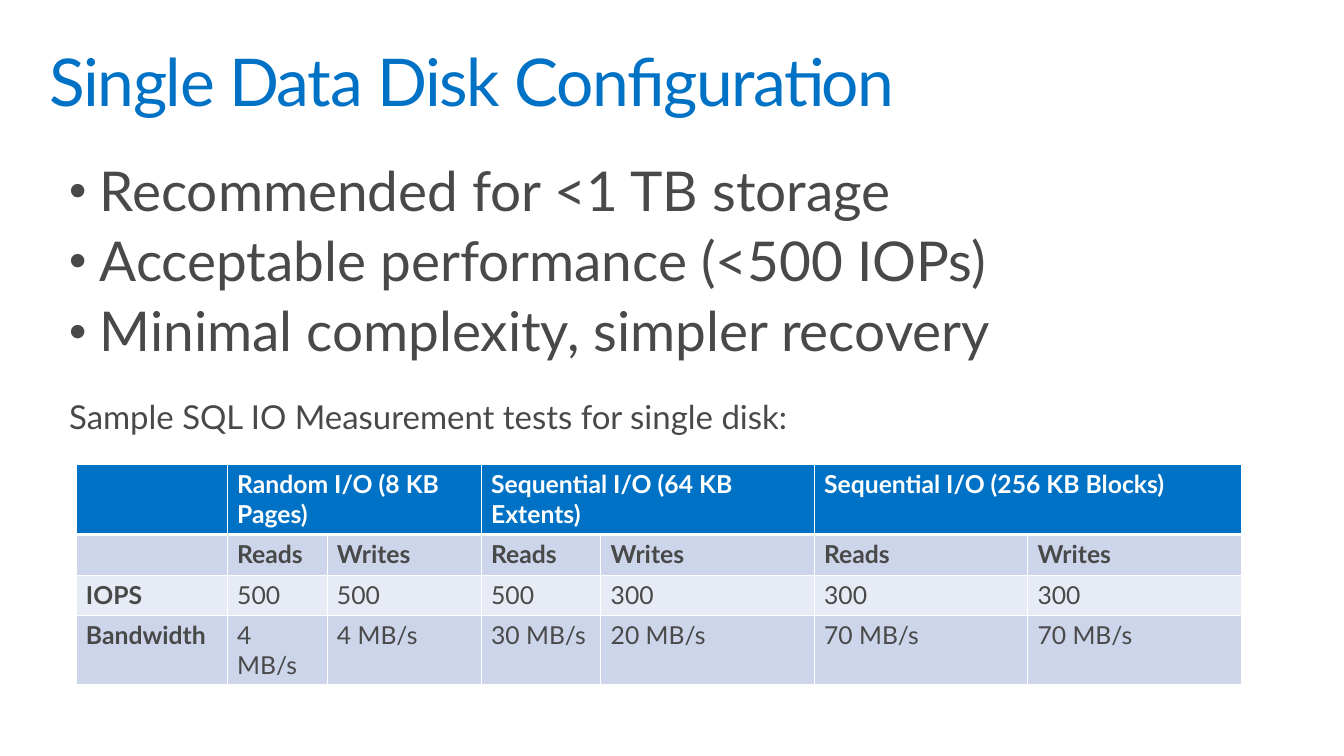
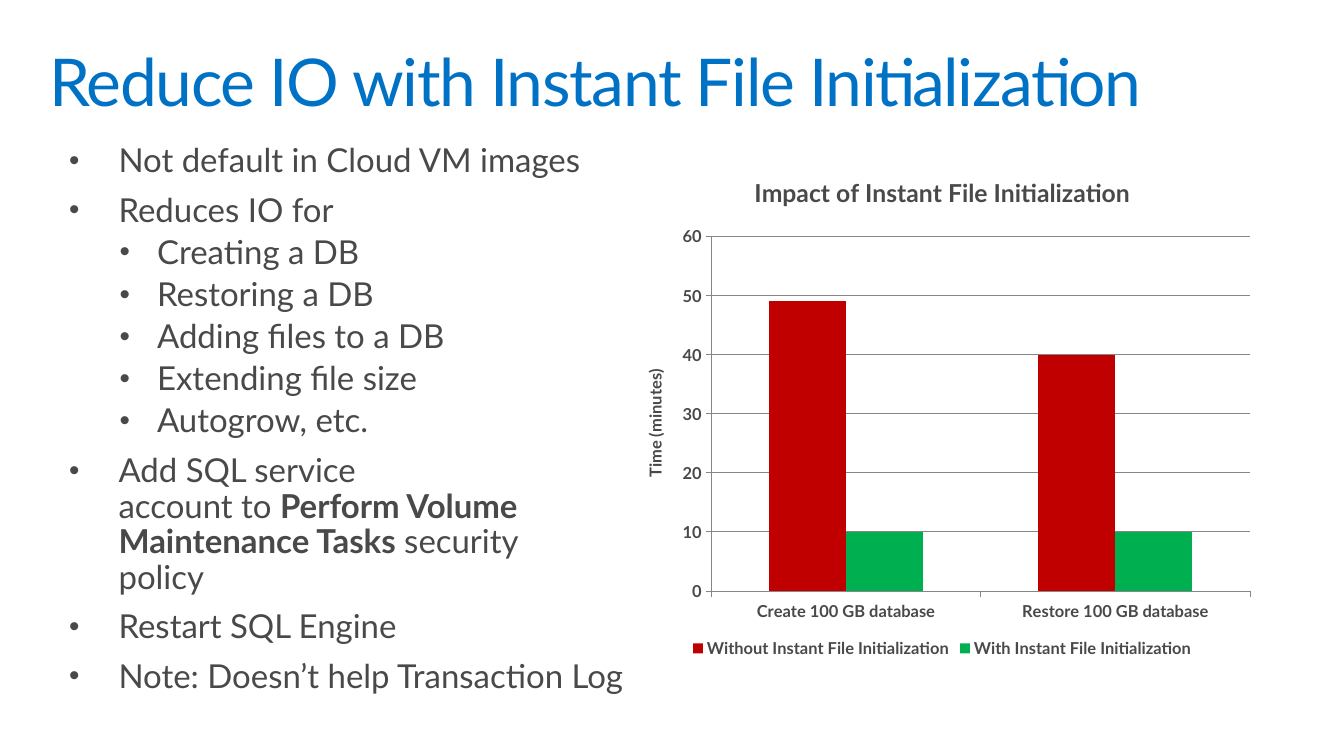
from lxml import etree
from pptx import Presentation
from pptx.chart.data import CategoryChartData
from pptx.dml.color import RGBColor
from pptx.enum.chart import XL_CHART_TYPE, XL_LEGEND_POSITION, XL_TICK_MARK
from pptx.enum.text import MSO_ANCHOR
from pptx.oxml import parse_xml
from pptx.oxml.ns import nsdecls, qn
from pptx.util import Pt

COLUMNS = XL_CHART_TYPE.COLUMN_CLUSTERED
BOTTOM = XL_LEGEND_POSITION.BOTTOM
OUTSIDE = XL_TICK_MARK.OUTSIDE
TOP = MSO_ANCHOR.TOP

PX = 9144  # 100 px to the inch
FONT = "Lato"
BLUE, GREY, WHITE, LINE = "0072C6", "494949", "FFFFFF", "868686"
BANDS = ("CCD5EA", "E7EBF5")

# Bullet styles: indent and hang in px, the rest in points
POINT = dict(left=31, hang=31, size=40, before=8)
MAIN = dict(left=50, hang=50, size=24, before=10.2)
SUB = dict(left=89, hang=38, size=24, before=4.8)

DISK = {
    "title": ("Single Data Disk Configuration", (40, 40, 1244, 57)),
    "box": (50, 150, 1300, 229),
    "points": [
        (POINT, "Recommended for <1 TB storage"),
        (POINT, "Acceptable performance (<500 IOPs)"),
        (POINT, "Minimal complexity, simpler recovery"),
    ],
}
CAPTION = "Sample SQL IO Measurement tests for single disk:"
HEADS = ["Random I/O (8 KB Pages)", "Sequential I/O (64 KB Extents)",
         "Sequential I/O (256 KB Blocks)"]
ROWS = [
    [""] + [text for head in HEADS for text in (head, "")],
    [""] + ["Reads", "Writes"] * len(HEADS),
    ["IOPS", "500", "500", "500", "300", "300", "300"],
    ["Bandwidth", "4 MB/s", "4 MB/s", "30 MB/s", "20 MB/s", "70 MB/s", "70 MB/s"],
]
WIDTHS = [153, 101, 156, 121, 216, 216, 216]
HEIGHTS = [71, 41, 41, 41]

# Bold parts stand between asterisks
INIT = {
    "title": ("Reduce IO with Instant File Initialization", (40, 40, 1300, 100)),
    "box": (50, 130, 1300, 628),
    "points": [
        (MAIN, "Not default in Cloud VM images"),
        (MAIN, "Reduces IO for"),
        (SUB, "Creating a DB"),
        (SUB, "Restoring a DB"),
        (SUB, "Adding files to a DB"),
        (SUB, "Extending file size"),
        (SUB, "Autogrow, etc."),
        (MAIN, "Add SQL service\naccount to *Perform Volume\nMaintenance Tasks* security\npolicy"),
        (MAIN, "Restart SQL Engine"),
        (MAIN, "Note: Doesn’t help Transaction Log"),
    ],
}
CHART = {
    "title": "Impact of Instant File Initialization",
    "axis": "Time (minutes)",
    "cats": ["Create 100 GB database", "Restore 100 GB database"],
    "series": [("Without Instant File Initialization", (49, 40), "C00000"),
               ("With Instant File Initialization", (10, 10), "00B050")],
    "plot": dict(x=0.14, y=0.16, w=0.84, h=0.7),
}


def px(*sizes):
    return [size * PX for size in sizes]


def rgb(code):
    return RGBColor.from_string(code)


def style(font, size, color=GREY, bold=False):
    values = dict(name=FONT, size=Pt(size), bold=bold)
    for key, value in values.items():
        setattr(font, key, value)
    font.color.rgb = rgb(color)


def write(para, text, size, color=GREY, bold=False):
    """Fill a paragraph; asterisks switch bold and newlines break the line."""
    for part, piece in enumerate(text.split("*")):
        for row, line in enumerate(piece.split("\n")):
            if row:
                para.add_line_break()
            run = para.add_run()
            run.text = line
            style(run.font, size, color, bold or part % 2 == 1)


def add_box(slide, box, inset):
    frame = slide.shapes.add_textbox(*px(*box)).text_frame
    side, edge = px(*inset)
    values = dict(word_wrap=True, vertical_anchor=TOP, margin_left=side,
                  margin_right=side, margin_top=edge, margin_bottom=edge)
    for key, value in values.items():
        setattr(frame, key, value)
    frame.paragraphs[0].line_spacing = 0.9
    return frame


def add_bullet(para, look):
    para.line_spacing = 0.9
    para.space_before = Pt(look["before"])
    props = para._p.get_or_add_pPr()
    left, hang = px(look["left"], look["hang"])
    props.set("marL", str(left))
    props.set("indent", str(-hang))
    for tag, key, value in (("buSzPct", "val", "90000"),
                            ("buFont", "typeface", "Arial"),
                            ("buChar", "char", "•")):
        etree.SubElement(props, qn("a:" + tag)).set(key, value)


def add_slide(deck, page):
    slide = deck.slides.add_slide(deck.slide_layouts[6])
    text, box = page["title"]
    para = add_box(slide, box, (10, 10)).paragraphs[0]
    write(para, text, 48, BLUE)
    para.runs[0].font._element.set("spc", "-100")
    frame = add_box(slide, page["box"], (20, 16))
    for num, (look, text) in enumerate(page["points"]):
        para = frame.add_paragraph() if num else frame.paragraphs[0]
        add_bullet(para, look)
        write(para, text, look["size"])
    return slide


def add_edges(cell, under):
    """Draw white borders, with the given width in points at the bottom."""
    props = cell._tc.get_or_add_tcPr()
    for num, (side, width) in enumerate(zip("LRTB", (1, 1, 1, under))):
        props.insert(num, parse_xml(
            f'<a:ln{side} {nsdecls("a")} w="{Pt(width)}"><a:solidFill>'
            f'<a:srgbClr val="{WHITE}"/></a:solidFill></a:ln{side}>'))


def add_grid(slide):
    table = slide.shapes.add_table(
        len(ROWS), len(WIDTHS), *px(77, 470, sum(WIDTHS), sum(HEIGHTS))).table
    for col, width in zip(table.columns, WIDTHS):
        col.width = width * PX
    for row, height in zip(table.rows, HEIGHTS):
        row.height = height * PX
    for r, row in enumerate(ROWS):
        for c, text in enumerate(row):
            cell = table.cell(r, c)
            cell.fill.solid()
            cell.fill.fore_color.rgb = rgb(BANDS[(r - 1) % 2] if r else BLUE)
            add_edges(cell, 1 if r else 3)
            if text:
                write(cell.text_frame.paragraphs[0], text, 18,
                      GREY if r else WHITE, r < 2 or c == 0)
    for c in range(1, len(WIDTHS), 2):
        table.cell(0, c).merge(table.cell(0, c + 1))


def place_plot(chart, sizes):
    """Fix the inner plot area as shares of the chart."""
    parts = "".join(f'<c:{key}Mode val="edge"/>' for key in "xy")
    parts += "".join(f'<c:{key} val="{size}"/>' for key, size in sizes.items())
    area = chart._chartSpace.chart.plotArea
    for old in area.findall(qn("c:layout")):
        area.remove(old)
    area.insert(0, parse_xml(
        f'<c:layout {nsdecls("c")}><c:manualLayout><c:layoutTarget val="inner"/>'
        f'{parts}</c:manualLayout></c:layout>'))


def add_title(owner, text, size):
    para = owner.text_frame.paragraphs[0]
    write(para, text, size, bold=True)


def add_bars(slide):
    data = CategoryChartData()
    data.categories = CHART["cats"]
    for name, values, _ in CHART["series"]:
        data.add_series(name, values)
    chart = slide.shapes.add_chart(COLUMNS, *px(629, 157, 649, 513), data).chart
    style(chart.font, 10)
    chart.has_title = chart.has_legend = True
    add_title(chart.chart_title, CHART["title"], 18)
    chart.legend.position = BOTTOM
    chart.legend.include_in_layout = False
    style(chart.legend.font, 12, bold=True)
    plot = chart.plots[0]
    for key, value in dict(gap_width=150, overlap=0, vary_by_categories=False).items():
        setattr(plot, key, value)
    for bars, (_, _, color) in zip(plot.series, CHART["series"]):
        bars.format.fill.solid()
        bars.format.fill.fore_color.rgb = rgb(color)
    scale = chart.value_axis
    for key, value in dict(minimum_scale=0, maximum_scale=60, major_unit=10,
                           has_major_gridlines=True).items():
        setattr(scale, key, value)
    add_title(scale.axis_title, CHART["axis"], 12)
    for axis in (scale, chart.category_axis):
        axis.major_tick_mark = OUTSIDE
        style(axis.tick_labels.font, 12, bold=True)
    for part in (scale, chart.category_axis, scale.major_gridlines):
        part.format.line.color.rgb = rgb(LINE)
        part.format.line.width = Pt(0.75)
    place_plot(chart, CHART["plot"])


def main():
    deck = Presentation()
    deck.slide_width, deck.slide_height = px(1360, 765)
    disk = add_slide(deck, DISK)
    add_grid(disk)
    frame = add_box(disk, (50, 390, 803, 70), (20, 16))
    write(frame.paragraphs[0], CAPTION, 24)
    add_bars(add_slide(deck, INIT))
    deck.save("out.pptx")


if __name__ == "__main__":
    main()
